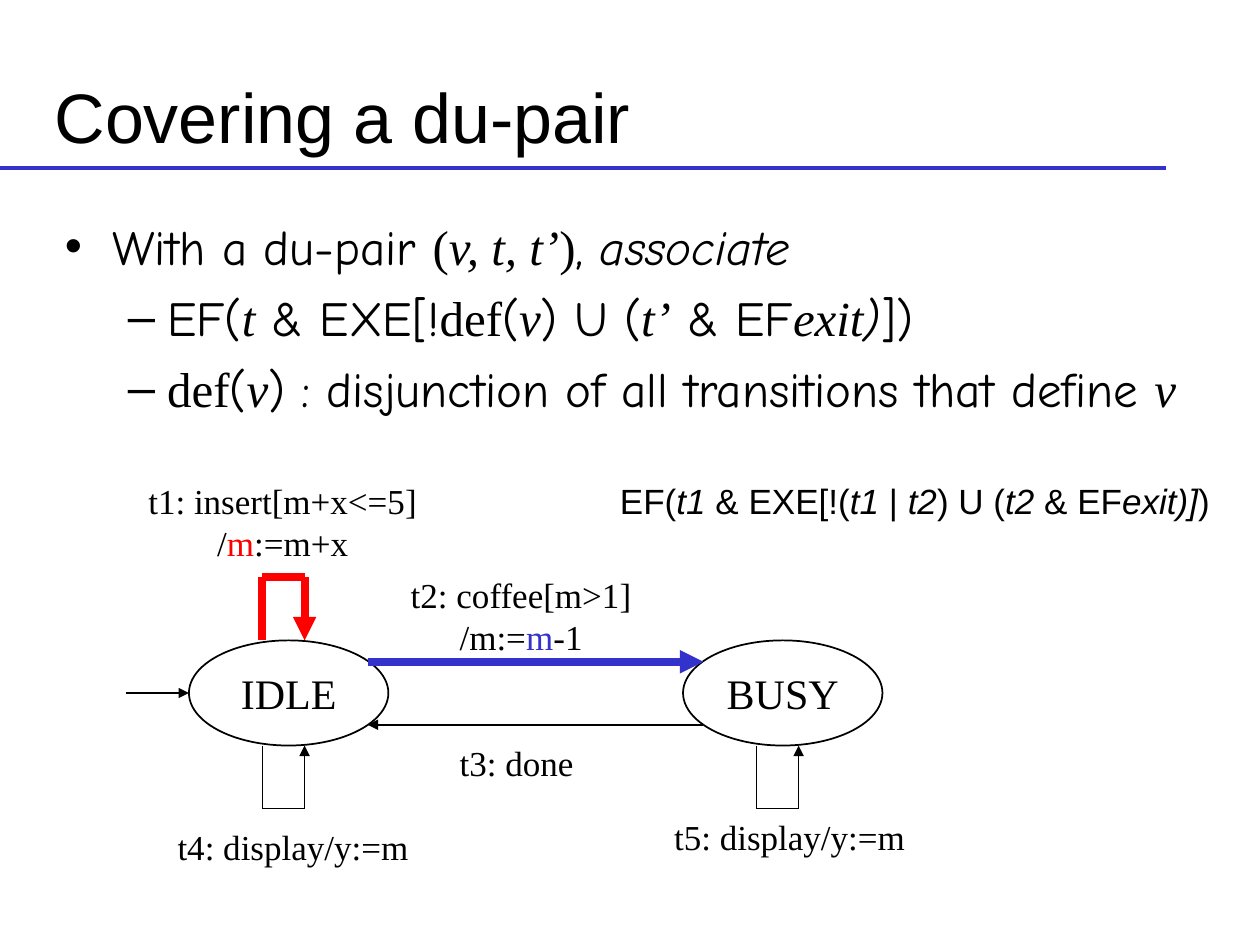
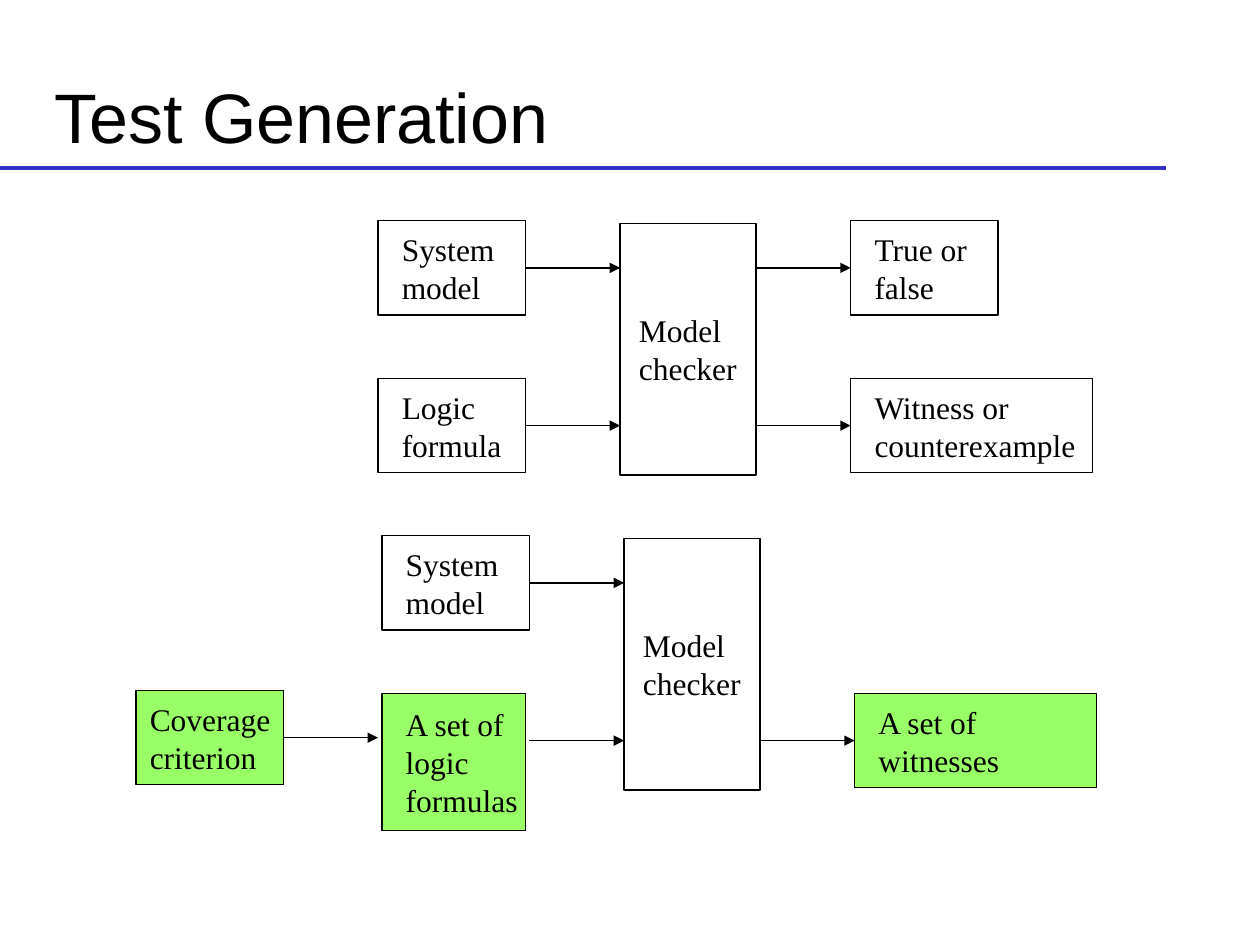
"""Build two slides on covering du-pairs and generating tests with a model checker."""
from dataclasses import dataclass
from typing import Any, NamedTuple, Optional

import pptx
import pptx.dml.color
import pptx.enum.shapes
import pptx.enum.text
import pptx.oxml
import pptx.oxml.ns
import pptx.util
from lxml import etree

Cm = pptx.util.Cm
Pt = pptx.util.Pt
ALIGN = pptx.enum.text.PP_ALIGN
ANCHOR = pptx.enum.text.MSO_ANCHOR
SHAPE = pptx.enum.shapes.MSO_SHAPE
LEFT_SIDE, RIGHT_SIDE = 1, 3

COLORS = {"black": "000000", "blue": "3333CC", "red": "FF0000", "green": "99FF66"}
FORMATS = {
    "arial": {"name": "Arial", "italic": False},
    "arial_i": {"name": "Arial", "italic": True},
    "comic": {"name": "Comic Neue", "italic": False},
    "comic_i": {"name": "Comic Neue", "italic": True},
    "times": {"name": "Times New Roman", "italic": False},
    "times_i": {"name": "Times New Roman", "italic": True},
}
FRAME = {"margin_left": Cm(0.25), "margin_right": Cm(0.25),
         "margin_top": Cm(0.13), "margin_bottom": Cm(0.13),
         "auto_size": pptx.enum.text.MSO_AUTO_SIZE.NONE}


class Run(NamedTuple):
    text: str
    style: str = "times"
    color: str = "black"


class Bullet(NamedTuple):
    level: int
    runs: list[Run]


class Label(NamedTuple):
    x: float
    y: float
    w: float
    h: float
    lines: list[list[Run]]
    align: Any = ALIGN.CENTER


class State(NamedTuple):
    name: str
    x: float


@dataclass
class Box:
    key: str
    text: str
    dx: float
    dy: float
    w: float = 2.97
    h: float = 1.9
    inset: float = 0.48
    fill: Optional[str] = None


@dataclass
class Link:
    dx: float
    dy: float
    start: Optional[str] = None
    end: Optional[str] = None


@dataclass
class Flow:
    x: float
    y: float
    boxes: list[Box]
    links: list[Link]


ROW, GAP, MIDDLE = 3.18, 1.91, 0.95
INPUT_RIGHT, CHECKER, CHECKER_RIGHT, OUTPUT = 2.97, 4.88, 7.62, 9.53
STATE_Y, STATE_W, STATE_H = 12.91, 4.02, 2.12
LOOP_DX, LOOP_W, LOOP_H = 1.48, 0.85, 1.27
IDLE, BUSY = State("IDLE", 3.81), State("BUSY", 13.77)
BULLET_STYLE = {0: ("•", 0.95, -0.95), 1: ("–", 2.06, -0.79)}

BULLETS = [
    Bullet(0, [Run("With a du-pair ", "comic"), Run("("), Run("v, t, t’", "times_i"),
               Run(")"), Run(", ", "comic"), Run("associate", "comic_i")]),
    Bullet(1, [Run("EF(", "comic"), Run("t", "times_i"), Run(" & EXE[!", "comic"),
               Run("def"), Run("(", "comic"), Run("v", "times_i"), Run(") U (", "comic"),
               Run("t’", "times_i"), Run(" & EF", "comic"), Run("exit", "times_i"),
               Run(")", "comic_i"), Run("])", "comic")]),
    Bullet(1, [Run("def"), Run("(", "comic"), Run("v", "times_i"),
               Run(") : disjunction of all transitions that define ", "comic"),
               Run("v", "times_i")]),
]

LABELS = [
    Label(2.74, 9.53, 5.92, 1.96, [[Run("t1: insert[m+x<=5]")],
                                   [Run("/"), Run("m", color="red"), Run(":=m+x")]]),
    Label(8.03, 11.43, 4.95, 1.96, [[Run("t2: coffee[m>1]")],
                                    [Run("/m:="), Run("m", color="blue"), Run("-1")]]),
    Label(9.02, 14.81, 2.79, 1.12, [[Run("t3: done")]]),
    Label(3.33, 16.51, 5.16, 1.12, [[Run("t4: display/y:=m")]]),
    Label(13.34, 16.31, 5.16, 1.12, [[Run("t5: display/y:=m")]]),
    Label(12.24, 9.53, 12.4, 1.12, [[
        Run("EF(", "arial"), Run("t1", "arial_i"), Run(" & EXE[!(", "arial"),
        Run("t1", "arial_i"), Run(" | ", "arial"), Run("t2", "arial_i"),
        Run(") U (", "arial"), Run("t2", "arial_i"), Run(" & EF", "arial"),
        Run("exit)]", "arial_i"), Run(")", "arial")]], ALIGN.RIGHT),
]


def checker_box() -> Box:
    """Return the tall model checker box shared by both flows."""
    return Box("checker", "Model\nchecker", CHECKER, 0.05, 2.74, 5.08, 0.38)


FLOWS = [
    Flow(7.62, 4.45,
         [checker_box(),
          Box("model", "System\nmodel", 0, 0),
          Box("formula", "Logic\nformula", 0, ROW),
          Box("verdict", "True or\nfalse", OUTPUT, 0),
          Box("witness", "Witness or\ncounterexample", OUTPUT, ROW, 4.88)],
         [Link(INPUT_RIGHT, MIDDLE, start="model"),
          Link(INPUT_RIGHT, ROW + MIDDLE, start="formula"),
          Link(CHECKER_RIGHT, MIDDLE, end="verdict"),
          Link(CHECKER_RIGHT, ROW + MIDDLE, end="witness")]),
    Flow(7.7, 10.8,
         [checker_box(),
          Box("model", "System\nmodel", 0, 0),
          Box("formulas", "A set of\nlogic\nformulas", 0, ROW, 2.9, 2.77, fill="green"),
          Box("witnesses", "A set of\nwitnesses", OUTPUT, ROW, 4.88, fill="green"),
          Box("coverage", "Coverage\ncriterion", -4.96, 3.12, inset=0.28, fill="green")],
         [Link(INPUT_RIGHT, MIDDLE, start="model"),
          Link(INPUT_RIGHT, ROW + MIDDLE),
          Link(CHECKER_RIGHT, ROW + MIDDLE, end="witnesses"),
          Link(-1.99, 3.12 + MIDDLE, start="coverage")]),
]


def rgb(color: str) -> pptx.dml.color.RGBColor:
    """Look up a named colour."""
    return pptx.dml.color.RGBColor.from_string(COLORS[color])


def apply(target: Any, values: dict[str, Any]) -> None:
    """Set every attribute listed in values on the target."""
    for name, value in values.items():
        setattr(target, name, value)


def add_runs(p: Any, runs: list[Run], size: float) -> None:
    """Append formatted runs to a paragraph."""
    for run in runs:
        r = p.add_run()
        r.text = run.text
        apply(r.font, {**FORMATS[run.style], "size": Pt(size)})
        r.font.color.rgb = rgb(run.color)


def fill_text(tf: Any, lines: list[list[Run]], size: float, align: Any, **frame: Any) -> None:
    """Write one paragraph per line into a text frame."""
    apply(tf, {**FRAME, **frame})
    for i, runs in enumerate(lines):
        p = tf.add_paragraph() if i else tf.paragraphs[0]
        p.alignment = align
        add_runs(p, runs, size)


def place(sp: Any, x: float, y: float, w: float, h: float) -> None:
    """Position a placeholder in centimetres."""
    apply(sp, {"left": Cm(x), "top": Cm(y), "width": Cm(w), "height": Cm(h)})


def add_line(s: Any, x1: float, y1: float, x2: float, y2: float, color: str = "black",
             width: float = 0.75, arrow: bool = False) -> Any:
    """Draw a straight line, with an arrowhead at its end if asked."""
    cxn = s.shapes.add_connector(pptx.enum.shapes.MSO_CONNECTOR.STRAIGHT,
                                 Cm(x1), Cm(y1), Cm(x2), Cm(y2))
    cxn.line.color.rgb = rgb(color)
    cxn.line.width = Pt(width)
    if arrow:
        ln = cxn.line.color and cxn.element.spPr.find(pptx.oxml.ns.qn("a:ln"))
        etree.SubElement(ln, pptx.oxml.ns.qn("a:tailEnd"), type="triangle")
    etree.SubElement(cxn.element.spPr, pptx.oxml.ns.qn("a:effectLst"))
    return cxn


def add_outline(s: Any, kind: Any, x: float, y: float, w: float, h: float,
                width: float, fill: Optional[str] = None) -> Any:
    """Draw a black-outlined shape, filled only if a colour is given."""
    sp = s.shapes.add_shape(kind, Cm(x), Cm(y), Cm(w), Cm(h))
    sp.shadow.inherit = False
    sp.line.color.rgb = rgb("black")
    sp.line.width = Pt(width)
    if fill:
        sp.fill.solid()
        sp.fill.fore_color.rgb = rgb(fill)
    else:
        sp.fill.background()
    return sp


def add_titled_slide(prs: Any, layout: int, title: str) -> Any:
    """Add a slide with the shared title style and blue rule."""
    s = prs.slides.add_slide(prs.slide_layouts[layout])
    place(s.shapes.title, 0.85, 1.27, 23.71, 2.12)
    fill_text(s.shapes.title.text_frame, [[Run(title, "arial")]], 40, ALIGN.LEFT,
              vertical_anchor=ANCHOR.MIDDLE)
    add_line(s, 0, 3.39, 23.5, 3.39, "blue", 2)
    return s


def add_bullets(sp: Any, bullets: list[Bullet]) -> None:
    """Fill the body placeholder with a two-level list."""
    place(sp, 1.06, 4.23, 23.5, 12.7)
    tf = sp.text_frame
    fill_text(tf, [bullet.runs for bullet in bullets], 28, ALIGN.LEFT)
    for i, (p, bullet) in enumerate(zip(tf.paragraphs, bullets)):
        char, margin, indent = BULLET_STYLE[bullet.level]
        pPr = p._p.get_or_add_pPr()
        pPr.set("marL", str(Cm(margin)))
        pPr.set("indent", str(Cm(indent)))
        etree.SubElement(pPr, pptx.oxml.ns.qn("a:buChar"), char=char)
        apply(p, {"level": bullet.level, "space_before": Pt(7 if i else 0)})


def add_loop(s: Any, state: State, above: bool, color: str = "black",
             width: float = 0.75) -> None:
    """Draw a self-transition above or below a state."""
    x1 = state.x + LOOP_DX
    x2 = x1 + LOOP_W
    near = STATE_Y if above else STATE_Y + STATE_H
    far = near - LOOP_H if above else near + LOOP_H
    add_line(s, x1, near, x1, far, color, width)
    add_line(s, x2, far, x2, near, color, width, arrow=True)
    add_line(s, x1, far, x2, far, color, width)


def add_flow(s: Any, flow: Flow) -> None:
    """Draw the boxes of a flow and the arrows between them."""
    shapes = {}
    for box in flow.boxes:
        sp = add_outline(s, SHAPE.RECTANGLE, flow.x + box.dx, flow.y + box.dy,
                         box.w, box.h, 0.75, box.fill)
        fill_text(sp.text_frame, [[Run(line)] for line in box.text.split("\n")], 18,
                  ALIGN.LEFT, word_wrap=True, vertical_anchor=ANCHOR.MIDDLE,
                  margin_left=Cm(box.inset), margin_right=0)
        shapes[box.key] = sp
    for link in flow.links:
        x, y = flow.x + link.dx, flow.y + link.dy
        cxn = add_line(s, x, y, x + GAP, y, arrow=True)
        if link.start:
            cxn.begin_connect(shapes[link.start], RIGHT_SIDE)
        if link.end:
            cxn.end_connect(shapes[link.end], LEFT_SIDE)


def build_du_pair(prs: Any) -> None:
    """Build the slide with the coffee machine state diagram."""
    s = add_titled_slide(prs, 1, "Covering a du-pair")
    add_bullets(s.placeholders[1], BULLETS)
    for state in (IDLE, BUSY):
        sp = add_outline(s, SHAPE.OVAL, state.x, STATE_Y, STATE_W, STATE_H, 1)
        fill_text(sp.text_frame, [[Run(state.name)]], 24, ALIGN.CENTER, word_wrap=False,
                  vertical_anchor=ANCHOR.MIDDLE)
        add_loop(s, state, above=False)
    add_loop(s, IDLE, above=True, color="red", width=4.5)
    add_line(s, 2.54, 13.97, IDLE.x, 13.97, arrow=True)
    add_line(s, 7.41, 13.34, 14.18, 13.34, "blue", 4.5, arrow=True)
    add_line(s, 14.18, 14.61, 7.41, 14.61, width=1, arrow=True)
    for label in LABELS:
        sp = s.shapes.add_textbox(Cm(label.x), Cm(label.y), Cm(label.w), Cm(label.h))
        fill_text(sp.text_frame, label.lines, 20, label.align, word_wrap=False)


def build_test_generation(prs: Any) -> None:
    """Build the slide with the two model checking flows."""
    s = add_titled_slide(prs, 5, "Test Generation")
    for flow in FLOWS:
        add_flow(s, flow)


def main() -> None:
    """Build and save the presentation."""
    prs = pptx.Presentation()
    apply(prs, {"slide_width": Cm(25.4), "slide_height": Cm(19.05)})
    build_du_pair(prs)
    build_test_generation(prs)
    prs.save("out.pptx")


if __name__ == "__main__":
    main()
